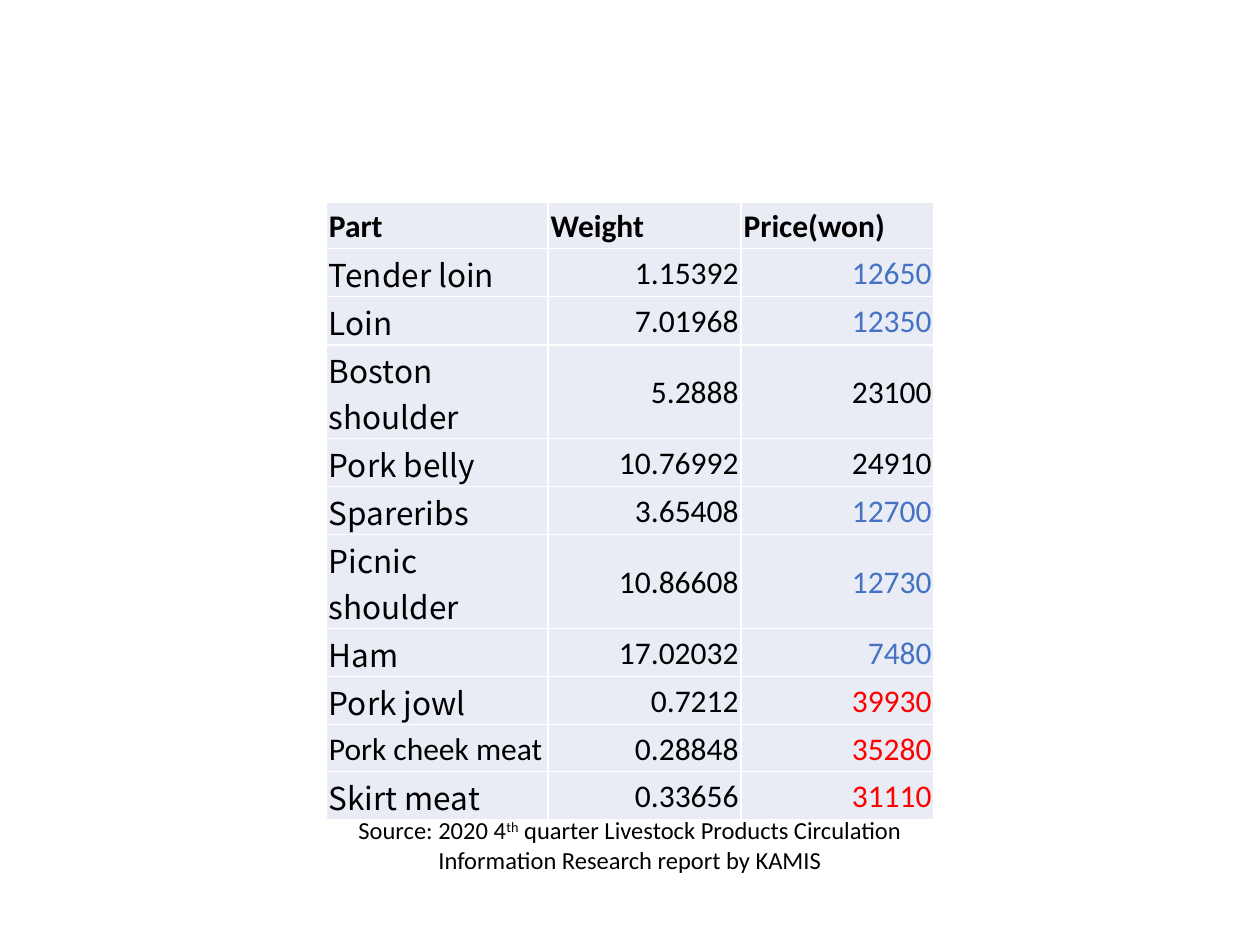
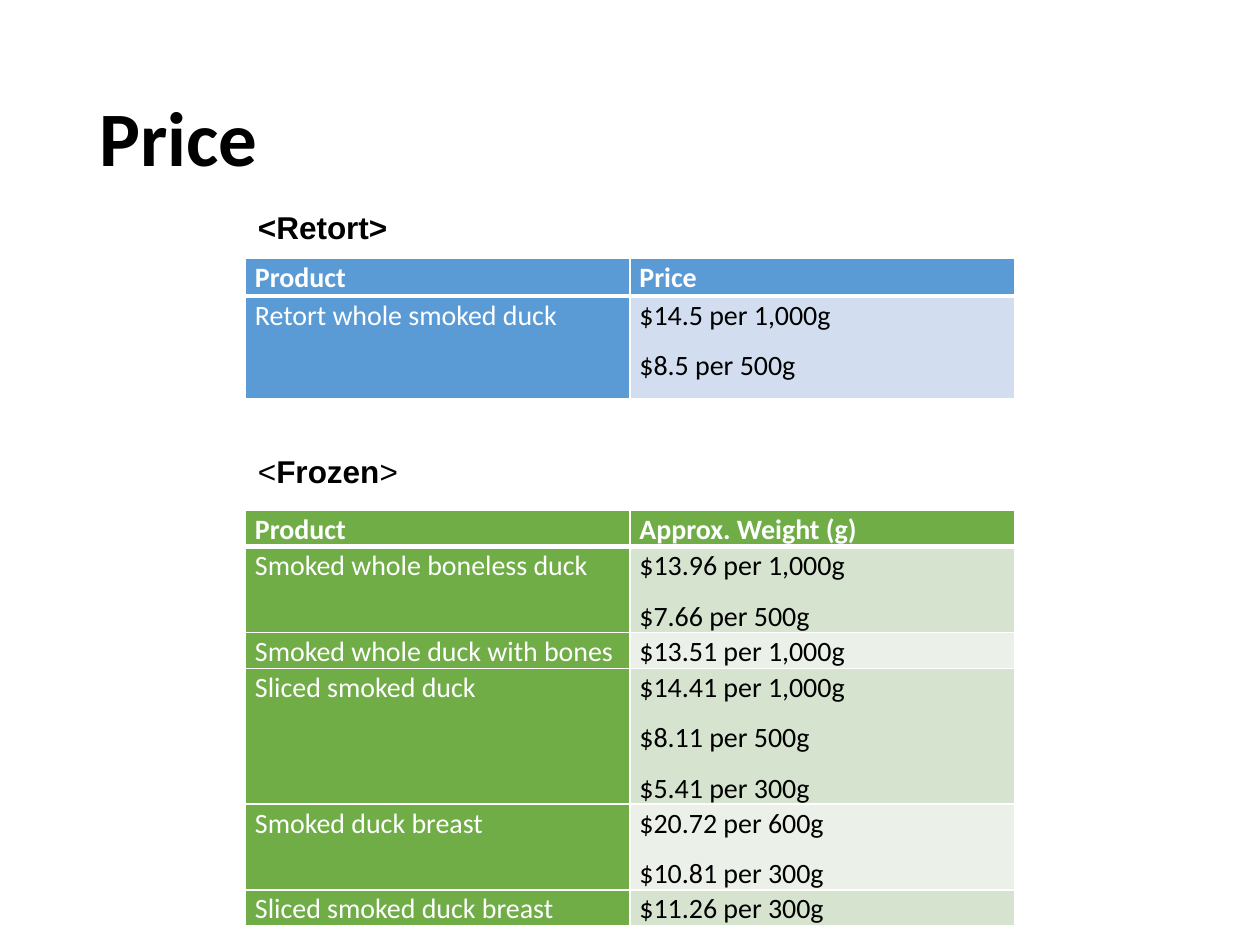
from lxml import etree
from pptx import Presentation
from pptx.dml.color import RGBColor
from pptx.enum import text
from pptx.oxml.ns import qn
from pptx.util import Cm, Pt

# Colours and fonts
BLACK = RGBColor(0x00, 0x00, 0x00)
WHITE = RGBColor(0xFF, 0xFF, 0xFF)
LOW_BLUE = RGBColor(0x44, 0x72, 0xC4)
HIGH_RED = RGBColor(0xFF, 0x00, 0x00)
PALE = RGBColor(0xE9, 0xEB, 0xF5)
BLUE, BLUE_TINT = RGBColor(0x5B, 0x9B, 0xD5), RGBColor(0xD2, 0xDE, 0xEF)
GREEN = RGBColor(0x70, 0xAD, 0x47)
GREEN_TINTS = RGBColor(0xD5, 0xE3, 0xCF), RGBColor(0xEB, 0xF1, 0xE9)
BODY, PART_FONT, LABEL_FONT = "Calibri", "Noto Sans CJK KR", "Arial"
LEFT, RIGHT = text.PP_ALIGN.LEFT, text.PP_ALIGN.RIGHT
CENTER, JUSTIFY = text.PP_ALIGN.CENTER, text.PP_ALIGN.JUSTIFY
TOP, MIDDLE = text.MSO_ANCHOR.TOP, text.MSO_ANCHOR.MIDDLE

# Content of the pork slide
PORK_HEAD = ("Part", "Weight", "Price(won)")
PORK_PARTS = [
    ("Tender loin", "1.15392", "12650"),
    ("Loin", "7.01968", "12350"),
    ("Boston shoulder", "5.2888", "23100"),
    ("Pork belly", "10.76992", "24910"),
    ("Spareribs", "3.65408", "12700"),
    ("Picnic shoulder", "10.86608", "12730"),
    ("Ham", "17.02032", "7480"),
    ("Pork jowl", "0.7212", "39930"),
    ("Pork cheek meat", "0.28848", "35280"),
    ("Skirt meat", "0.33656", "31110"),
]
LATIN_PARTS = {"Pork cheek meat"}
CHEAP_BELOW, DEAR_ABOVE = 20000, 30000
SOURCE = [
    ("Source: 2020 4", {}),
    ("th", {"raised": True}),
    (" quarter Livestock Products Circulation Information Research report by KAMIS", {}),
]

# Content of the duck slide: row heights follow from the number of prices
DUCK_TABLES = [
    {
        "label": [("<Retort>", {"bold": True})],
        "label_top": 4.06, "label_width": 3.15, "top": 5.21,
        "head": ("Product", "Price"),
        "products": [("Retort whole smoked duck", ["$14.5 per 1,000g", "$8.5 per 500g"])],
        "colour": BLUE, "tints": (BLUE_TINT,),
        "row": 0.76, "extra": 1.3,
    },
    {
        "label": [("<", {}), ("Frozen", {"bold": True}), (">", {})],
        "label_top": 8.99, "label_width": 3.35, "top": 10.29,
        "head": ("Product", "Approx. Weight (g)"),
        "products": [
            ("Smoked whole boneless duck", ["$13.96 per 1,000g", "$7.66 per 500g"]),
            ("Smoked whole duck with bones", ["$13.51 per 1,000g"]),
            ("Sliced smoked duck", ["$14.41 per 1,000g", "$8.11 per 500g", "$5.41 per 300g"]),
            ("Smoked duck breast", ["$20.72 per 600g", "$10.81 per 300g"]),
            ("Sliced smoked duck breast", ["$11.26 per 300g"]),
        ],
        "colour": GREEN, "tints": GREEN_TINTS,
        "row": 0.56, "extra": 0.98,
    },
]
DUCK_LEFT, DUCK_COLUMN = 4.95, 7.75
DUCK_SPACING = {"line_spacing": 1.07, "space_after": Pt(8)}


def apply(target, values):
    for key, value in values.items():
        setattr(target, key, value)


def write(paragraph, runs, size, font=BODY, colour=BLACK, bold=False, **layout):
    """Fill a paragraph with (wording, format) runs."""
    apply(paragraph, layout)
    for wording, changes in runs:
        run = paragraph.add_run()
        run.text = wording
        values = {"size": Pt(size), "name": font, "bold": bold} | changes
        if values.pop("raised", False):
            run._r.get_or_add_rPr().set("baseline", "30000")
        apply(run.font, values)
        run.font.color.rgb = colour


def add_text(slide, box, runs, size, anchor=TOP, wrap=True, **style):
    frame = slide.shapes.add_textbox(*map(Cm, box)).text_frame
    apply(frame, {"word_wrap": wrap, "vertical_anchor": anchor})
    write(frame.paragraphs[0], runs, size, **style)


def add_grid(slide, left, top, widths, heights):
    frame = slide.shapes.add_table(len(heights), len(widths), Cm(left), Cm(top),
                                   Cm(sum(widths)), Cm(sum(heights)))
    grid = frame.table
    apply(grid, {"first_row": False, "horz_banding": False})
    for column, width in zip(grid.columns, widths):
        column.width = Cm(width)
    for row, height in zip(grid.rows, heights):
        row.height = Cm(height)
    return grid


def draw_borders(cell, **widths):
    """White lines on all sides, 1 pt unless a side is given."""
    for side in "LRTB":
        line = etree.SubElement(cell._tc.get_or_add_tcPr(), qn(f"a:ln{side}"),
                                w=str(Pt(widths.get(side, 1))))
        fill = etree.SubElement(line, qn("a:solidFill"))
        etree.SubElement(fill, qn("a:srgbClr"), val=str(WHITE))


def fill_cell(cell, lines, size, fill, margins, anchor=TOP, borders=None, **style):
    draw_borders(cell, **(borders or {}))
    cell.fill.solid()
    cell.fill.fore_color.rgb = fill
    side, above, below = margins
    apply(cell, {"margin_left": Cm(side), "margin_right": Cm(side), "margin_top": Cm(above),
                 "margin_bottom": Cm(below), "vertical_anchor": anchor})
    frame = cell.text_frame
    for i, line in enumerate(lines):
        paragraph = frame.add_paragraph() if i else frame.paragraphs[0]
        write(paragraph, [(line, {})], size, **style)


def price_colour(price):
    if int(price) < CHEAP_BELOW:
        return LOW_BLUE
    return HIGH_RED if int(price) > DEAR_ABOVE else BLACK


def pork_slide(slide):
    rows = [PORK_HEAD] + PORK_PARTS
    grid = add_grid(slide, 6.58, 4.07, [4.47, 3.89, 3.89], [0.94] * len(rows))
    for r, row in enumerate(rows):
        for c, value in enumerate(row):
            style = {"bold": r == 0, "alignment": RIGHT if r and c else LEFT}
            if r and c == 0 and value not in LATIN_PARTS:
                style["font"] = PART_FONT
            if r and c == 2:
                style["colour"] = price_colour(value)
            fill_cell(grid.cell(r, c), [value], 18, PALE, (0.05, 0.05, 0), MIDDLE, **style)
    add_text(slide, (6.35, 16.31, 12.7, 1.45), SOURCE, 14, alignment=CENTER)


def duck_table(slide, part):
    heights = [part["row"]] + [part["row"] + part["extra"] * (len(prices) - 1)
                               for _, prices in part["products"]]
    grid = add_grid(slide, DUCK_LEFT, part["top"], [DUCK_COLUMN] * 2, heights)
    margins = (0.19, 0, 0)
    # Header row with a thick rule below
    for c, heading in enumerate(part["head"]):
        fill_cell(grid.cell(0, c), [heading], 16, part["colour"], margins, borders={"B": 3},
                  colour=WHITE, bold=True, alignment=JUSTIFY if c else LEFT, **DUCK_SPACING)
    # Products with alternating tints behind their prices
    for r, (product, prices) in enumerate(part["products"], 1):
        tint = part["tints"][(r - 1) % len(part["tints"])]
        borders = {"T": 3} if r == 1 else {}
        fill_cell(grid.cell(r, 0), [product], 16, part["colour"], margins,
                  borders=borders, colour=WHITE, **DUCK_SPACING)
        fill_cell(grid.cell(r, 1), prices, 16, tint, margins, borders=borders, **DUCK_SPACING)
    add_text(slide, (DUCK_LEFT, part["label_top"], part["label_width"], 1.02),
             part["label"], 18, MIDDLE, wrap=False, font=LABEL_FONT)


def duck_slide(slide):
    add_text(slide, (1.75, 1.02, 21.9, 3.68), [("Price", {})], 44, MIDDLE,
             bold=True, line_spacing=0.9)
    for part in DUCK_TABLES:
        duck_table(slide, part)


def main():
    deck = Presentation()
    apply(deck, {"slide_width": Cm(25.4), "slide_height": Cm(19.05)})
    for build in (pork_slide, duck_slide):
        build(deck.slides.add_slide(deck.slide_layouts[6]))
    deck.save("out.pptx")


if __name__ == "__main__":
    main()
